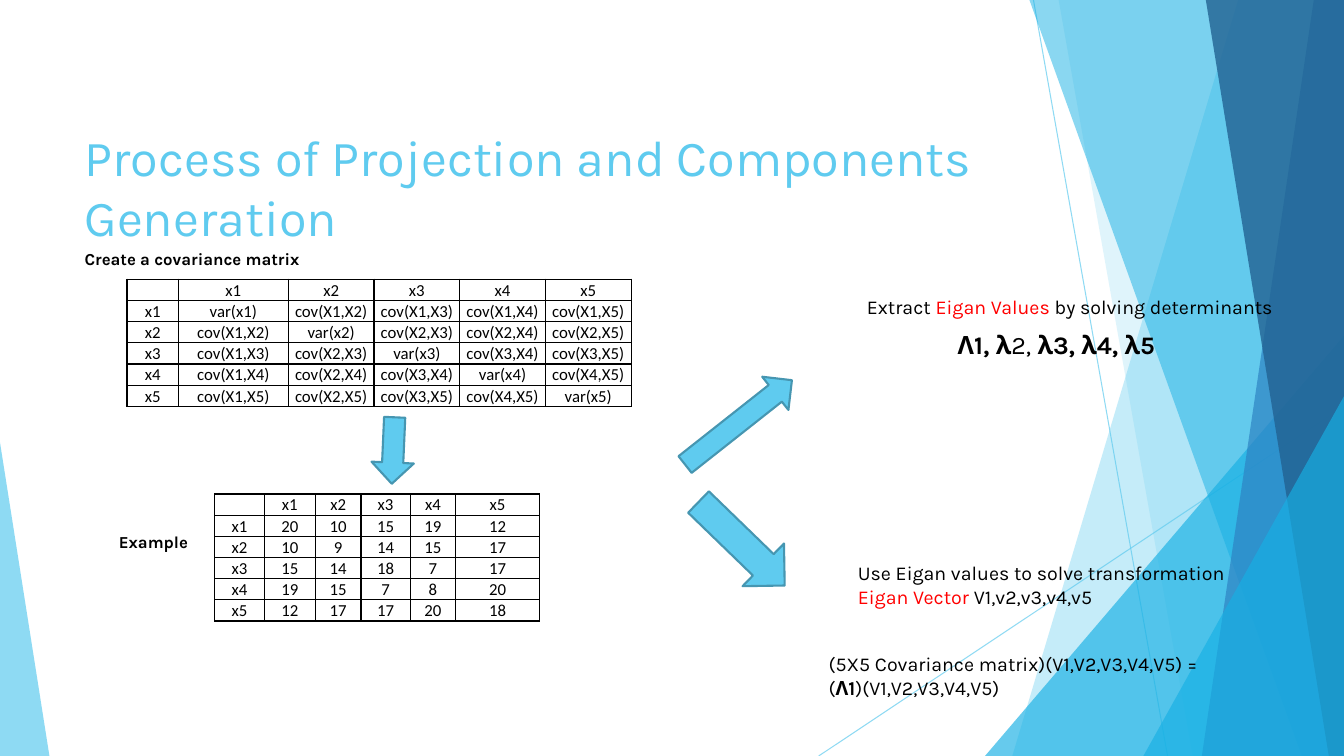
from dataclasses import dataclass

from lxml.etree import SubElement
from pptx import Presentation
from pptx.dml.color import RGBColor
from pptx.enum.shapes import MSO_CONNECTOR, MSO_SHAPE
from pptx.enum.text import MSO_ANCHOR, MSO_AUTO_SIZE, PP_ALIGN
from pptx.oxml.ns import qn
from pptx.util import Emu, Inches, Pt


@dataclass(frozen=True)
class Theme:
    """Colours, fonts and type sizes of the slide."""
    sky: str = "5FCBEF"
    cyan: str = "17B0E4"
    blue: str = "2E83C3"
    navy: str = "226292"
    edge: str = "4696B1"
    ink: str = "000000"
    accent: str = "FF0000"
    font: str = "Karla"
    table_font: str = "Calibri"
    title: int = 36
    formula: int = 18
    body: int = 14
    small: int = 12


class Deck:
    """Draws on one slide with a grid of 133.3 columns by 75 rows."""

    def __init__(self, theme):
        """Open a title-only slide."""
        self.t = theme
        self.prs = Presentation()
        self.prs.slide_width, self.prs.slide_height = Inches(13.33), Inches(7.5)
        self.col, self.row = self.prs.slide_width / 133.3, self.prs.slide_height / 75
        self.s = self.prs.slides.add_slide(self.prs.slide_layouts[5])

    def at(self, *grid):
        """Turn alternating columns and rows into lengths."""
        return [Emu(round(g * (self.row if i % 2 else self.col))) for i, g in enumerate(grid)]

    def paint(self, fill, color, alpha=100):
        """Fill with a solid colour at a given opacity."""
        fill.solid()
        fill.fore_color.rgb = RGBColor.from_string(color)
        if alpha < 100:
            clr = fill._xPr.find(".//" + qn("a:srgbClr"))
            SubElement(clr, qn("a:alpha"), val=str(alpha * 1000))

    def run(self, p, text, size, color=None, bold=False, font=None):
        """Add one styled run."""
        r = p.add_run()
        r.text = text
        r.font.size, r.font.bold, r.font.name = Pt(size), bold, font or self.t.font
        r.font.color.rgb = RGBColor.from_string(color or self.t.ink)

    def title(self, text, *box):
        """Place the title placeholder above the background."""
        sp = self.s.shapes.title
        sp.left, sp.top, sp.width, sp.height = self.at(*box)
        self.s.shapes._spTree.append(sp._element)
        tf = sp.text_frame
        tf.word_wrap, tf.auto_size = True, MSO_AUTO_SIZE.NONE
        tf.vertical_anchor = MSO_ANCHOR.MIDDLE
        p = tf.paragraphs[0]
        p.alignment = PP_ALIGN.LEFT
        self.run(p, text, self.t.title, self.t.sky)

    def text(self, box, size, *lines):
        """Add a text box, each line being a list of runs."""
        tf = self.s.shapes.add_textbox(*self.at(*box)).text_frame
        tf.word_wrap, tf.auto_size = True, MSO_AUTO_SIZE.SHAPE_TO_FIT_TEXT
        for i, line in enumerate(lines):
            p = tf.add_paragraph() if i else tf.paragraphs[0]
            for text, *style in line:
                self.run(p, text, size, *style)

    def ray(self, *ends):
        """Add a thin translucent line."""
        c = self.s.shapes.add_connector(MSO_CONNECTOR.STRAIGHT, *self.at(*ends))
        c.line.width = Pt(0.75)
        self.paint(c.line.fill, self.t.sky, 70)
        SubElement(c._element.spPr, qn("a:effectLst"))

    def finish(self, sp, color, alpha):
        """Give a background facet its fill."""
        sp.shadow.inherit = False
        self.paint(sp.fill, color, alpha)
        sp.line.fill.background()

    def facet(self, top, bottom, color, alpha):
        """Add a slanted band that reaches the right edge."""
        points = [(133.3, 0), (133.3, 75), (bottom, 75)]
        fb = self.s.shapes.build_freeform(*self.at(top, 0))
        fb.add_line_segments([self.at(*pt) for pt in points], close=True)
        self.finish(fb.convert_to_shape(), color, alpha)

    def triangle(self, box, apex, color, alpha):
        """Add a corner triangle."""
        sp = self.s.shapes.add_shape(MSO_SHAPE.ISOSCELES_TRIANGLE, *self.at(*box))
        sp.adjustments[0] = apex
        self.finish(sp, color, alpha)

    def arrow(self, box, angle):
        """Add a rotated block arrow."""
        sp = self.s.shapes.add_shape(MSO_SHAPE.RIGHT_ARROW, *self.at(*box))
        sp.rotation, sp.shadow.inherit = angle, False
        self.paint(sp.fill, self.t.sky)
        self.paint(sp.line.fill, self.t.edge)
        sp.line.width = Pt(1.5)

    def cell(self, cell, text):
        """Style one bordered cell."""
        cell.margin_left = cell.margin_right = cell.margin_top = Inches(0.01)
        cell.margin_bottom = 0
        cell.vertical_anchor = MSO_ANCHOR.BOTTOM
        cell.fill.background()
        pr = cell._tc.get_or_add_tcPr()
        for i, side in enumerate(("lnL", "lnR", "lnT", "lnB")):
            ln = SubElement(pr, qn("a:" + side), w=str(Pt(1)))
            SubElement(SubElement(ln, qn("a:solidFill")), qn("a:srgbClr"), val=self.t.ink)
            pr.insert(i, ln)
        p = cell.text_frame.paragraphs[0]
        p.alignment = PP_ALIGN.CENTER
        if text:
            self.run(p, text, self.t.small, font=self.t.table_font)
        else:
            SubElement(p._p, qn("a:endParaRPr"), sz=str(self.t.small * 100))

    def matrix(self, left, top, widths, values):
        """Add a square matrix with variable names on both sides."""
        names = [f"x{i}" for i in range(1, len(values) + 1)]
        rows = [["", *names]] + [[n, *map(str, v)] for n, v in zip(names, values)]
        box = self.at(left, top, sum(widths), 2.1 * len(rows))
        tbl = self.s.shapes.add_table(len(rows), len(widths), *box).table
        tbl.first_row = tbl.horz_banding = False
        for column, width in zip(tbl.columns, widths):
            column.width = self.at(width)[0]
        for i, row in enumerate(rows):
            for j, text in enumerate(row):
                self.cell(tbl.cell(i, j), text)


def main():
    """Build and save the slide."""
    t = Theme()
    d = Deck(t)
    d.ray(102.5, 0, 115.8, 75)
    d.ray(133.3, 40.3, 81.2, 75)
    d.facet(122.8, 100.4, t.sky, 36)
    d.facet(105, 118.3, t.sky, 20)
    d.triangle((97.7, 33.3, 35.6, 41.7), 1, t.cyan, 66)
    d.facet(102.1, 129.1, t.cyan, 50)
    d.facet(130.3, 119.2, t.blue, 70)
    d.facet(119.6, 131.8, t.navy, 80)
    d.triangle((113.4, 39.3, 19.9, 35.7), 1, t.cyan, 66)
    d.triangle((0, 43.9, 4.9, 31.1), 0, t.sky, 70)

    d.title("Process of Projection and Components Generation", 7.4, 11.3, 94, 14.4)
    d.text((7.4, 24.2, 32.8, 3), t.small, [("Create a covariance matrix", t.ink, True)])
    index = range(1, 6)
    covariance = [[f"var(x{i})" if i == j else f"cov(X{min(i, j)},X{max(i, j)})"
                   for j in index] for i in index]
    d.matrix(12.6, 27.7, [5.1, 10.9] + [8.5] * 4, covariance)
    example = [[20, 10, 15, 19, 12], [10, 9, 14, 15, 17], [15, 14, 18, 7, 17],
               [19, 15, 7, 8, 20], [12, 17, 17, 20, 18]]
    d.matrix(21.3, 49, [4.9, 5.1, 4.5, 4.9, 4.5, 8.3], example)
    d.text((10.8, 52.3, 15.8, 3), t.small, [("Example", t.ink, True)])

    d.arrow((35.7, 42.6, 6.6, 4.2), 92.5)
    d.arrow((66.5, 39.8, 13.5, 4.2), 321.7)
    d.arrow((67.6, 51, 11.9, 5.9), 44.1)

    d.text((94, 32.2, 26.7, 4), t.formula,
           [("Λ1, λ", t.ink, True), ("2,",), (" λ3, λ4, λ5", t.ink, True)])
    d.text((85, 28.8, 46.5, 3.4), t.body,
           [("Extract ",), ("Eigan Values", t.accent), (" by solving determinants",)])
    d.text((84.1, 55.2, 46.5, 8.1), t.body,
           [("Use Eigan values to solve transformation",)],
           [("Eigan Vector ", t.accent), ("V1,v2,v3,v4,v5",)])
    d.text((81.2, 64.2, 56.4, 5.7), t.body,
           [("(5X5 Covariance matrix)(V1,V2,V3,V4,V5) =",)],
           [("(",), ("Λ1", t.ink, True), (")(V1,V2,V3,V4,V5)",)])
    d.prs.save("out.pptx")


if __name__ == "__main__":
    main()
